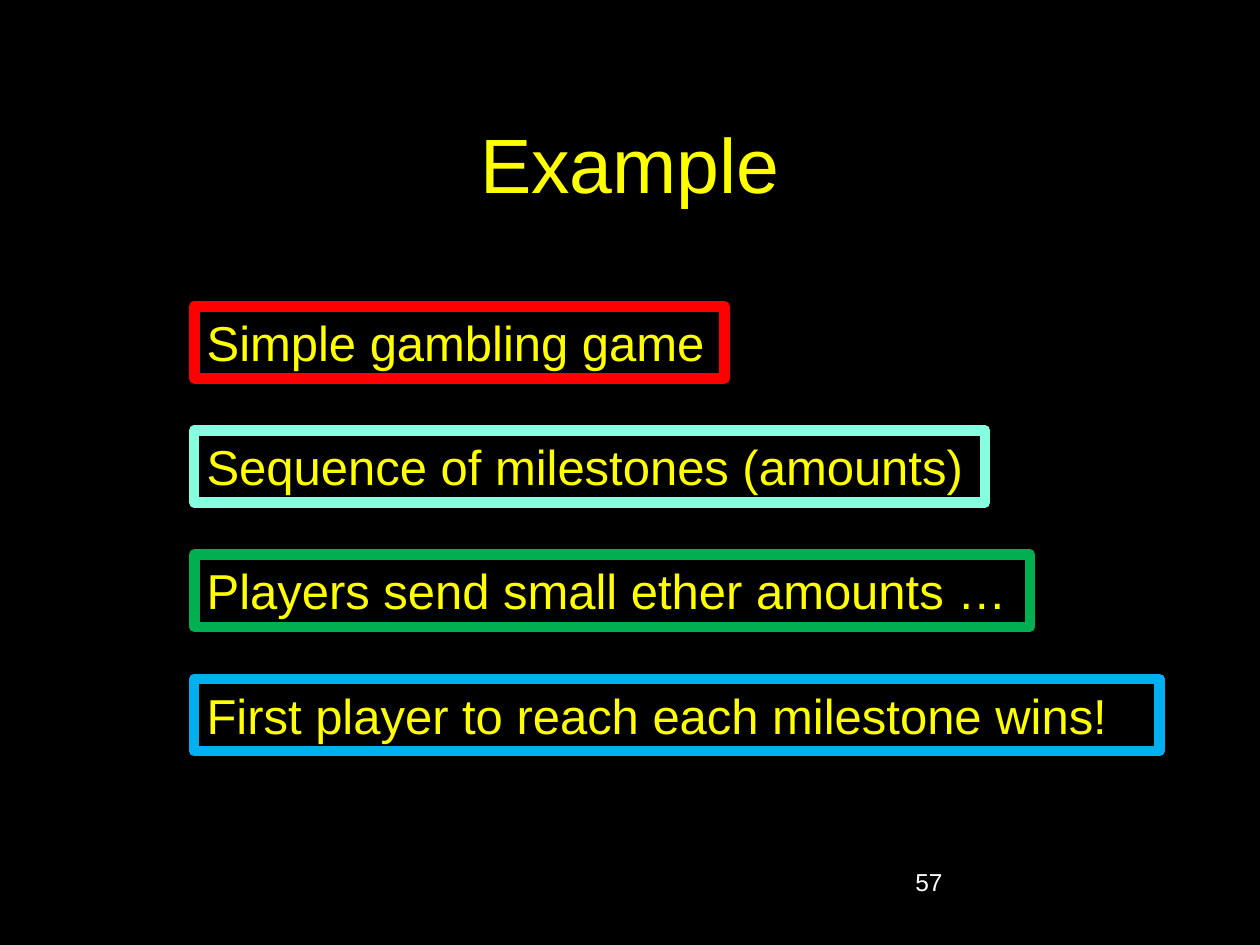
from pptx import Presentation
from pptx.dml.color import RGBColor
from pptx.enum import shapes, text
from pptx.util import Pt

BLACK = RGBColor(0x00, 0x00, 0x00)
WHITE = RGBColor(0xFF, 0xFF, 0xFF)
YELLOW = RGBColor(0xFF, 0xFF, 0x00)
RED = RGBColor(0xFF, 0x00, 0x00)
MINT = RGBColor(0x85, 0xFF, 0xE0)
GREEN = RGBColor(0x00, 0xB0, 0x50)
BLUE = RGBColor(0x00, 0xB0, 0xF0)

# Content: text, frame colour, frame width
TITLE = "Example"
PAGE = "57"
STEPS = [
    ("Simple gambling game", RED, 303),
    ("Sequence of milestones (amounts)", MINT, 452),
    ("Players send small ether amounts …", GREEN, 477.5),
    ("First player to reach each milestone wins!", BLUE, 551.5),
]
LEFT, TOP, HIGH, PITCH = 111, 175, 41.2, 71


def write(shape, words, size, color=YELLOW, align=text.PP_ALIGN.LEFT,
          anchor=text.MSO_ANCHOR.TOP):
    frame = shape.text_frame
    frame.word_wrap = True
    frame.vertical_anchor = anchor
    para = frame.paragraphs[0]
    para.text = words
    para.alignment = align
    font = para.runs[0].font
    font.name, font.size, font.color.rgb = "Arial", Pt(size), color


deck = Presentation()
deck.slide_width, deck.slide_height = Pt(720), Pt(540)
slide = deck.slides.add_slide(deck.slide_layouts[6])
slide.background.fill.solid()
slide.background.fill.fore_color.rgb = BLACK

# Title
box = slide.shapes.add_textbox(Pt(54), Pt(48), Pt(612), Pt(90))
write(box, TITLE, 44, align=text.PP_ALIGN.CENTER,
      anchor=text.MSO_ANCHOR.MIDDLE)

# Page number
box = slide.shapes.add_textbox(Pt(516), Pt(492), Pt(150), Pt(36))
write(box, PAGE, 14, WHITE)

# Framed steps
for row, (words, color, width) in enumerate(STEPS):
    step = slide.shapes.add_shape(
        shapes.MSO_SHAPE.RECTANGLE,
        Pt(LEFT), Pt(TOP + row * PITCH), Pt(width), Pt(HIGH))
    step.shadow.inherit = False
    step.fill.solid()
    step.fill.fore_color.rgb = BLACK
    step.line.color.rgb = color
    step.line.width = Pt(6)
    write(step, words, 28)

deck.save("out.pptx")
